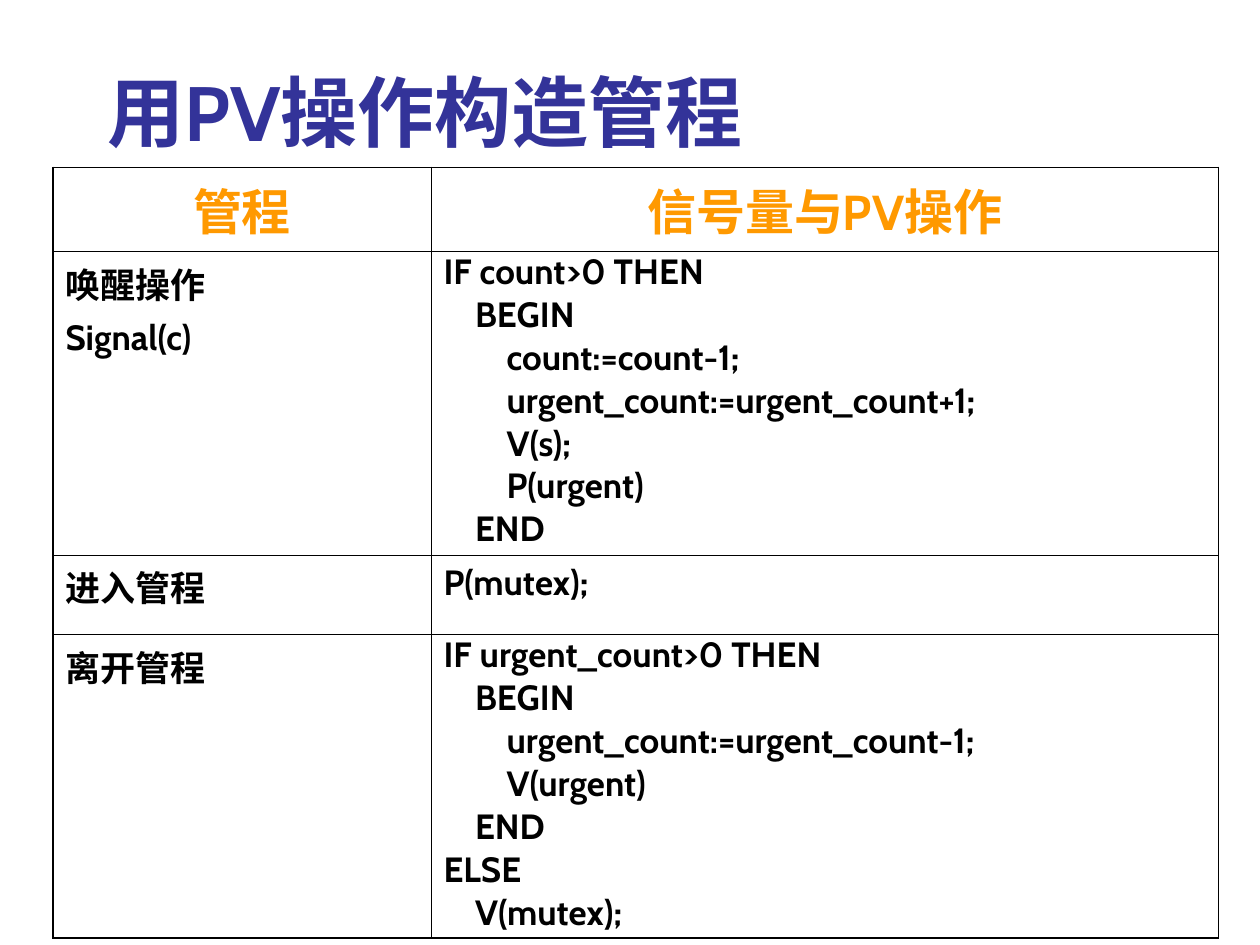
from lxml.etree import SubElement
from pptx import Presentation
from pptx.dml.color import RGBColor
from pptx.enum.text import MSO_ANCHOR, PP_ALIGN
from pptx.oxml.ns import qn
from pptx.util import Inches, Pt

BLUE = RGBColor(0x33, 0x33, 0x99)
ORANGE = RGBColor(0xFF, 0x99, 0x00)
BLACK = RGBColor(0, 0, 0)
FONT = "Cabin"
THIN, THICK = Pt(0.45), Pt(1.08)

SIGNAL = """IF count>0 THEN
    BEGIN
        count:=count-1;
        urgent_count:=urgent_count+1;
        V(s);
        P(urgent)
    END"""
LEAVE = """IF urgent_count>0 THEN
    BEGIN
        urgent_count:=urgent_count-1;
        V(urgent)
    END
ELSE
    V(mutex);"""
ROWS = [
    ("管程", "信号量与PV操作"),
    ("唤醒操作\nSignal(c)", SIGNAL),
    ("进入管程", "P(mutex);"),
    ("离开管程", LEAVE),
]
WIDTHS = [3, 6.25]
HEIGHTS = [0.66, 2.41, 0.63, 2.41]


def style(par, size, color):
    font = par.font
    font.name, font.size, font.bold = FONT, Pt(size), True
    font.color.rgb = color


def add_edge(cell, side, width):
    line = SubElement(cell._tc.get_or_add_tcPr(), qn("a:ln" + side), w=str(width))
    fill = SubElement(line, qn("a:solidFill"))
    SubElement(fill, qn("a:srgbClr"), val=str(BLACK))


deck = Presentation()
deck.slide_width, deck.slide_height = Inches(10), Inches(7.5)
slide = deck.slides.add_slide(deck.slide_layouts[5])

title = slide.shapes.title
title.left, title.top = Inches(0.75), Inches(0.25)
title.width, title.height = Inches(8.5), Inches(1.25)
title.text = "用PV操作构造管程"
title.text_frame.vertical_anchor = MSO_ANCHOR.MIDDLE
head = title.text_frame.paragraphs[0]
head.alignment = PP_ALIGN.LEFT
style(head, 44, BLUE)

table = slide.shapes.add_table(
    len(ROWS), len(WIDTHS), Inches(0.42), Inches(1.33),
    Inches(sum(WIDTHS)), Inches(sum(HEIGHTS))).table
table.first_row = table.horz_banding = False
for col, width in zip(table.columns, WIDTHS):
    col.width = Inches(width)
for row, height in zip(table.rows, HEIGHTS):
    row.height = Inches(height)

for r, texts in enumerate(ROWS):
    for c, text in enumerate(texts):
        cell = table.cell(r, c)
        cell.text = text
        outer = {"L": c == 0, "R": c == len(WIDTHS) - 1,
                 "T": r == 0, "B": r == len(ROWS) - 1}
        for side, edge in outer.items():
            add_edge(cell, side, THICK if edge else THIN)
        cell.fill.background()
        for n, par in enumerate(cell.text_frame.paragraphs):
            if n:
                par.space_before = Pt(5)
            if text in (SIGNAL, LEAVE):
                par.line_spacing = 0.8
            if r == 0:
                par.alignment = PP_ALIGN.CENTER
                style(par, 28, ORANGE)
            else:
                style(par, 20, BLACK)

deck.save("out.pptx")
